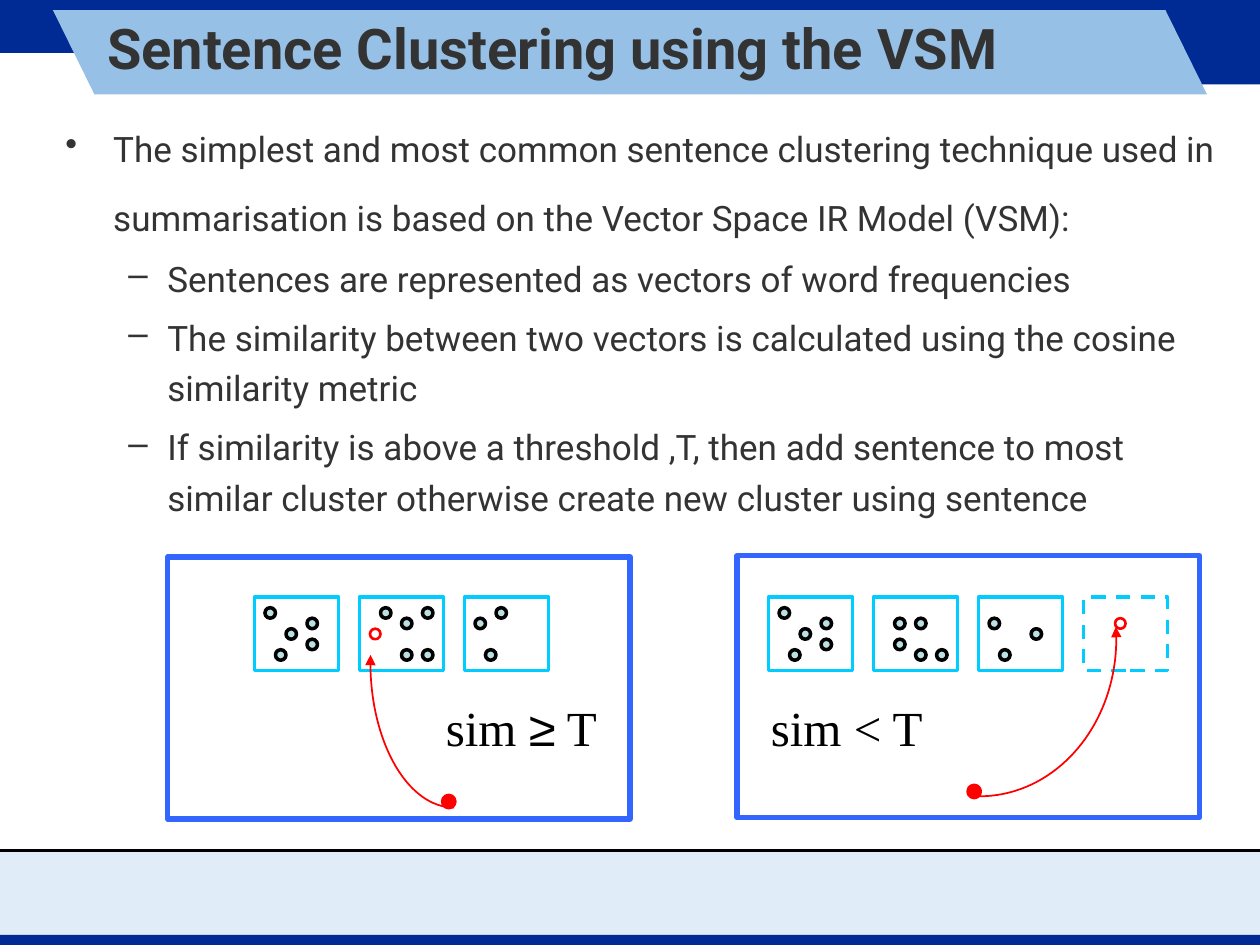
import pptx
import pptx.util
import pptx.dml.color
import pptx.enum.dml
import pptx.enum.shapes
import pptx.enum.text
import pptx.oxml.ns
from lxml import etree

Inches, Pt = pptx.util.Inches, pptx.util.Pt
SHAPE = pptx.enum.shapes.MSO_SHAPE
W, H = 10, 7.5
CELL = 1 / 12  # grid of the cluster diagrams, inches
BOX_STEP, BOX_COLS, BOX_ROWS = 10, 8, 7
BOX_TOP = 4.74
COLORS = {
    "navy": "002B94", "banner": "97C0E6", "footer": "E0ECF7", "text": "333333",
    "black": "000000", "frame": "3366FF", "cluster": "00CCFF",
    "dot": "BBE0E3", "new": "FF0000",
}
BULLETS = [
    (0, "The simplest and most common sentence clustering technique used in "
        "summarisation is based on the Vector Space IR Model (VSM):"),
    (1, "Sentences are represented as vectors of word frequencies"),
    (1, "The similarity between two vectors is calculated using the cosine "
        "similarity metric"),
    (1, "If similarity is above a threshold ,T, then add sentence to most "
        "similar cluster otherwise create new cluster using sentence"),
]
# Per level: bullet, left margin, hanging indent, line spacing, space before
LEVELS = [("•", 0.38, 0.38, 1.4, 6), ("–", 0.81, 0.31, 1.2, 5)]
# Sentences of each cluster as (column, row) within its box
SCATTER = [(1, 1), (3, 3), (5, 2), (2, 5), (5, 4)]
ABOVE = [SCATTER, [(2, 1), (4, 2), (6, 1), (4, 5), (6, 5)], [(1, 2), (2, 5), (3, 1)]]
BELOW = [SCATTER, [(2, 2), (4, 2), (2, 4), (4, 5), (6, 5)], [(1, 2), (2, 5), (5, 3)]]


def rgb(name):
    return pptx.dml.color.RGBColor.from_string(COLORS[name])


def paint(sp, fill=None, line=None, width=1, dash=False):
    sp.shadow.inherit = False
    if fill:
        sp.fill.solid()
        sp.fill.fore_color.rgb = rgb(fill)
    else:
        sp.fill.background()
    if line:
        sp.line.color.rgb = rgb(line)
        sp.line.width = Pt(width)
        if dash:
            sp.line.dash_style = pptx.enum.dml.MSO_LINE.DASH
    else:
        sp.line.fill.background()
    return sp


def add_shape(s, kind, x, y, w, h, **look):
    sp = s.shapes.add_shape(kind, Inches(x), Inches(y), Inches(w), Inches(h))
    return paint(sp, **look)


def add_run(p, text, size=20, font="Roboto", color="text", bold=False):
    r = p.add_run()
    r.text = text
    r.font.size, r.font.name, r.font.bold = Pt(size), font, bold
    r.font.color.rgb = rgb(color)


def add_text_box(s, x, y, w, h):
    tf = s.shapes.add_textbox(Inches(x), Inches(y), Inches(w), Inches(h)).text_frame
    tf.word_wrap = True
    return tf


def add_background(s):
    rect = SHAPE.RECTANGLE
    add_shape(s, rect, 0, 0.9 * H, W, 0.67, fill="footer")
    add_shape(s, rect, 0, 0, W, 0.42, fill="navy")
    add_shape(s, rect, 7.17, 0.25, 2.83, 0.42, fill="navy")
    fb = s.shapes.build_freeform(Inches(0.42), Inches(0.08))
    corners = [(0.75, 0.75), (9.58, 0.75), (9.25, 0.08)]
    fb.add_line_segments([(Inches(x), Inches(y)) for x, y in corners])
    paint(fb.convert_to_shape(), fill="banner")
    rule = s.shapes.add_connector(pptx.enum.shapes.MSO_CONNECTOR.STRAIGHT,
                                  0, Inches(0.9 * H), Inches(W), Inches(0.9 * H))
    rule.line.color.rgb = rgb("black")
    rule.line.width = Pt(1.5)
    etree.SubElement(rule._element.spPr, pptx.oxml.ns.qn("a:effectLst"))
    add_shape(s, rect, 0, 7.42, W, 0.08, fill="navy")


def add_title(s, text):
    title = s.shapes.title
    title.left, title.top = Inches(0.75), Inches(0.08)
    title.width, title.height = Inches(8.5), Inches(0.58)
    tf = title.text_frame
    tf.vertical_anchor = pptx.enum.text.MSO_ANCHOR.MIDDLE
    tf.paragraphs[0].alignment = pptx.enum.text.PP_ALIGN.LEFT
    add_run(tf.paragraphs[0], text, size=32, bold=True)
    s.shapes._spTree.append(title._element)  # bring in front of the banner


def format_bullet(p, level):
    char, margin, hang, spacing, before = LEVELS[level]
    p.level, p.line_spacing, p.space_before = level, spacing, Pt(before)
    pPr = p._p.get_or_add_pPr()
    pPr.set("marL", str(Inches(margin)))
    pPr.set("indent", str(-Inches(hang)))
    qn = pptx.oxml.ns.qn
    color = etree.SubElement(pPr, qn("a:buClr"))
    etree.SubElement(color, qn("a:srgbClr"), val=COLORS["text"])
    etree.SubElement(pPr, qn("a:buChar"), char=char)


def add_bullets(s):
    tf = add_text_box(s, 0.42, 0.83, 9.42, 5.5)
    for i, (level, text) in enumerate(BULLETS):
        p = tf.add_paragraph() if i else tf.paragraphs[0]
        format_bullet(p, level)
        add_run(p, text)
        if level == 0:
            add_run(p, " ", size=24)


def add_dot(s, x, y, **look):
    add_shape(s, SHAPE.OVAL, x, y, CELL, CELL, **look)


def add_cluster(s, left, index, dots=(), dash=False):
    x = left + index * BOX_STEP * CELL
    add_shape(s, SHAPE.RECTANGLE, x, BOX_TOP, BOX_COLS * CELL, BOX_ROWS * CELL,
              line="cluster", width=2, dash=dash)
    for col, row in dots:
        add_dot(s, x + col * CELL, BOX_TOP + row * CELL,
                fill="dot", line="black", width=2)


def add_arc_arrow(s, x, y, w, h, flip=False):
    """Quarter arc from the bottom of its ellipse up to the side."""
    sp = add_shape(s, SHAPE.ARC, x, y, w, h, line="new", width=1)
    sp.adjustments[0], sp.adjustments[1] = 54, 111  # 90 and 185 degrees
    if flip:
        sp._element.spPr.find(pptx.oxml.ns.qn("a:xfrm")).set("flipH", "1")
    etree.SubElement(sp.line._get_or_add_ln(), pptx.oxml.ns.qn("a:tailEnd"),
                     type="triangle")


def add_diagram(s, frame, left, clusters, start, arc, target, flip=False):
    """Frame, clusters and the arrow that moves a sentence to its target cell."""
    add_shape(s, SHAPE.RECTANGLE, *frame, 3.67, 2.08, line="frame", width=3)
    for i, dots in enumerate(clusters):
        add_cluster(s, left, i, dots, dash=not dots)
    add_dot(s, *start, fill="new", line="new", width=3)
    add_arc_arrow(s, *arc, flip=flip)
    index, col, row = target
    add_dot(s, left + (index * BOX_STEP + col) * CELL, BOX_TOP + row * CELL,
            line="new", width=1.5)


def add_condition(s, x, w, *parts):
    p = add_text_box(s, x, 5.49, w, 0.57).paragraphs[0]
    p.space_before = Pt(17.5)
    for text, font in parts:
        add_run(p, text, size=28, font=font, color="black")


def main():
    prs = pptx.Presentation()
    prs.slide_width, prs.slide_height = Inches(W), Inches(H)
    s = prs.slides.add_slide(prs.slide_layouts[5])
    add_background(s)
    add_title(s, "Sentence Clustering using the VSM")
    add_bullets(s)
    add_diagram(s, (1.33, 4.42), 2.02, ABOVE, start=(3.52, 6.32),
                arc=(2.94, 4.1, 1.33, 2.31), target=(1, 1, 3))
    add_diagram(s, (5.85, 4.41), 6.1, BELOW + [[]], start=(7.69, 6.24),
                arc=(6.69, 3.82, 2.17, 2.5), target=(3, 3, 2), flip=True)
    serif = "Times New Roman"
    add_condition(s, 3.44, 1.42, ("sim ", serif), ("≥", "Arial"), (" T", serif))
    add_condition(s, 6.02, 1.5, ("sim < T", serif))
    prs.save("out.pptx")


if __name__ == "__main__":
    main()
